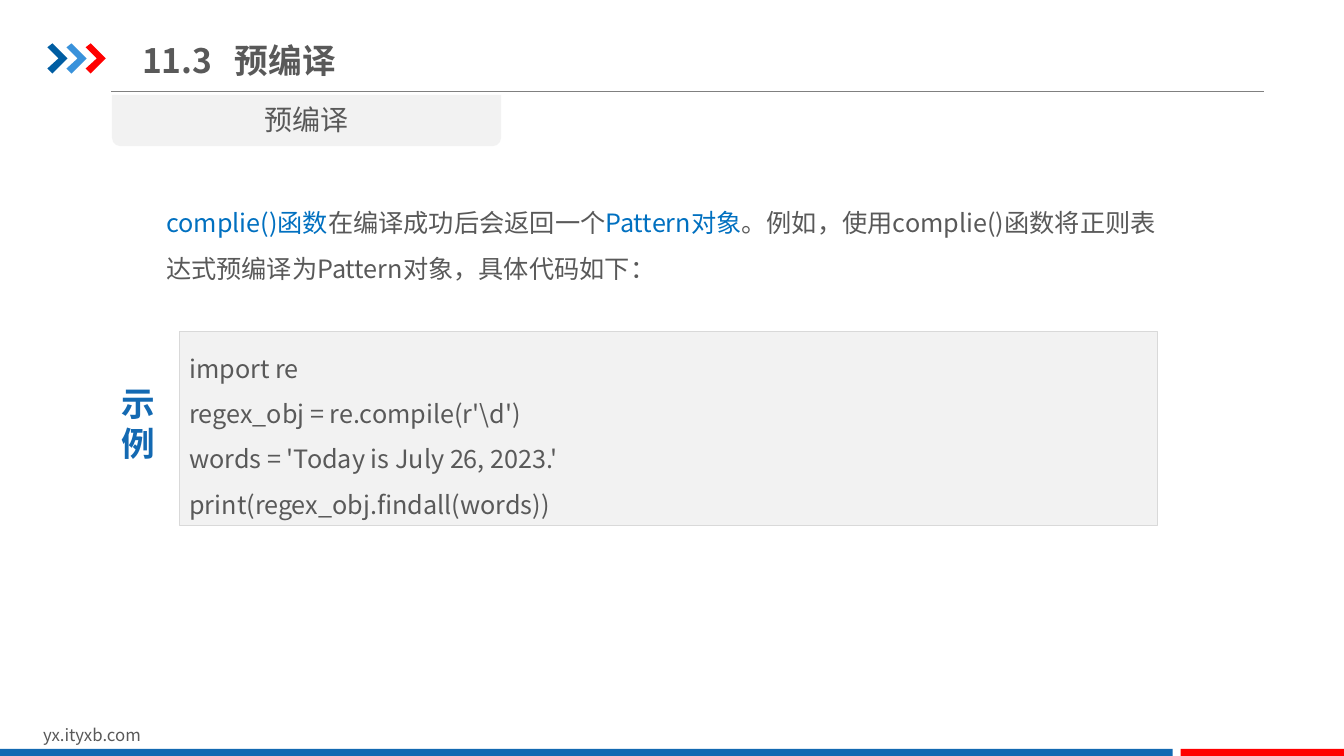
import pptx
import pptx.util
import pptx.dml.color
import pptx.enum.shapes
import pptx.enum.text
import pptx.oxml.ns
from lxml import etree

FACE = "Noto Sans CJK SC"
GREY, BLUE, LINK, RED, PALE = "595959", "1369B2", "0070C0", "FF0000", "F2F2F2"
TITLE = "11.3\t预编译"
TAB = 0.92
TOPIC = "预编译"
SITE = "yx.ityxb.com"
INTRO = [
    ("complie()函数", LINK),
    ("在编译成功后会返回一个", GREY),
    ("Pattern对象", LINK),
    ("。例如，使用complie()函数将正则表达式预编译为Pattern对象，具体代码如下：", GREY),
]
CODE = [
    "import re",
    r"regex_obj = re.compile(r'\d')",
    "words = 'Today is July 26, 2023.'",
    "print(regex_obj.findall(words))",
]
LABEL = ["示", "例"]
ARROWS = ["005DA2", "3992DB", RED]
ARROW = [(0, 0.04), (0.05, 0), (0.2, 0.15), (0.05, 0.3), (0, 0.25), (0.11, 0.15)]
BARS = [(0, 11.63, BLUE), (11.71, 1.63, RED)]

Inches = pptx.util.Inches
Pt = pptx.util.Pt
Kind = pptx.enum.shapes.MSO_SHAPE
Align = pptx.enum.text.PP_ALIGN
Anchor = pptx.enum.text.MSO_ANCHOR
qn = pptx.oxml.ns.qn


def paint(part, color):
    part.rgb = pptx.dml.color.RGBColor.from_string(color)


def style(font, size, color, bold=False):
    font.size, font.bold = Pt(size), bold
    font.fill.solid()
    paint(font.fill.fore_color, color)
    font.name = FACE
    etree.SubElement(font._rPr, qn("a:ea"), typeface=FACE)


def finish(shape, color, edge=None):
    shape.shadow.inherit = False
    shape.fill.solid()
    paint(shape.fill.fore_color, color)
    if edge:
        paint(shape.line.color, edge)
        shape.line.width = Pt(0.25)
    else:
        shape.line.fill.background()
    return shape


def block(shapes, kind, box, color, edge=None):
    return finish(shapes.add_shape(kind, *map(Inches, box)), color, edge)


def write(frame, lines, size, color, bold=False, align=Align.LEFT, space=1.0):
    frame.word_wrap = True
    for i, line in enumerate(lines):
        para = frame.add_paragraph() if i else frame.paragraphs[0]
        para.text = line
        para.alignment, para.line_spacing = align, space
        style(para.font, size, color, bold)


def label(shapes, box, lines, *args, **kwargs):
    text = shapes.add_textbox(*map(Inches, box))
    write(text.text_frame, lines, *args, **kwargs)


def head(title):
    title.left, title.top, title.width, title.height = map(Inches, (1.31, 0.29, 5.41, 0.61))
    frame = title.text_frame
    frame.auto_size = pptx.enum.text.MSO_AUTO_SIZE.NONE
    frame.vertical_anchor = Anchor.MIDDLE
    para = frame.paragraphs[0]
    stops = etree.SubElement(para._p.get_or_add_pPr(), qn("a:tabLst"))
    etree.SubElement(stops, qn("a:tab"), pos=str(Inches(TAB)), algn="l")
    write(frame, [TITLE], 24, GREY, True)


def frame_page(shapes):
    rule = shapes.add_connector(
        pptx.enum.shapes.MSO_CONNECTOR.STRAIGHT, *map(Inches, (1.1, 0.91, 12.54, 0.91)))
    paint(rule.line.color, "808080")
    rule.line.width = Pt(0.75)
    etree.SubElement(rule._element.spPr, qn("a:effectLst"))
    for i, color in enumerate(ARROWS):
        dots = [(Inches(0.47 + 0.19 * i + x), Inches(0.43 + y)) for x, y in ARROW]
        build = shapes.build_freeform(*dots[0])
        build.add_line_segments(dots[1:], close=True)
        finish(build.convert_to_shape(), color)
    label(shapes, (0.33, 7.14, 3.18, 0.3), [SITE], 12, GREY)
    for left, width, color in BARS:
        block(shapes, Kind.RECTANGLE, (left, 7.43, width, 0.09), color)


def main():
    deck = pptx.Presentation()
    deck.slide_width, deck.slide_height = Inches(13.33), Inches(7.5)
    slide = deck.slides.add_slide(deck.slide_layouts[5])
    shapes = slide.shapes
    head(shapes.title)
    frame_page(shapes)

    tag = block(shapes, Kind.ROUND_2_SAME_RECTANGLE, (1.11, 0.94, 3.86, 0.51), PALE)
    tag.rotation = 180
    label(shapes, (1.11, 0.97, 3.86, 0.44), [TOPIC], 20, GREY, align=Align.CENTER)

    intro = shapes.add_textbox(*map(Inches, (1.55, 1.86, 10.16, 1.01))).text_frame
    intro.word_wrap = True
    para = intro.paragraphs[0]
    para.line_spacing = 1.5
    for text, color in INTRO:
        run = para.add_run()
        run.text = text
        style(run.font, 18, color)

    code = block(shapes, Kind.RECTANGLE, (1.78, 3.29, 9.7, 1.92), PALE, "D9D9D9")
    code.text_frame.vertical_anchor = Anchor.MIDDLE
    write(code.text_frame, CODE, 18, GREY, space=1.5)
    label(shapes, (1.1, 3.75, 0.54, 0.91), LABEL, 24, BLUE, True, Align.CENTER)
    deck.save("out.pptx")


if __name__ == "__main__":
    main()
